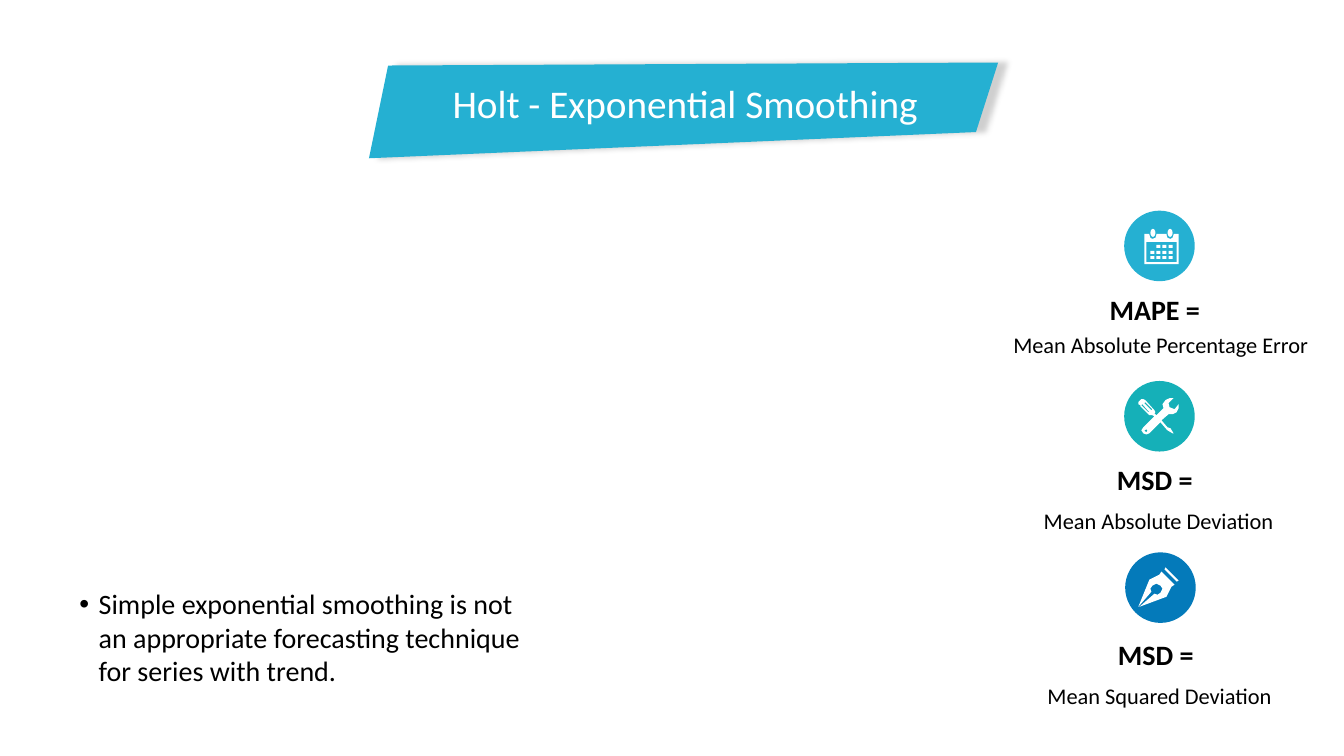
from lxml.etree import SubElement
from pptx import Presentation
from pptx.dml.color import RGBColor
from pptx.enum.shapes import MSO_SHAPE
from pptx.enum.text import MSO_ANCHOR, PP_ALIGN
from pptx.oxml.ns import qn
from pptx.util import Pt

PX = 9144
WHITE, BLACK = "FFFFFF", "000000"
BLUE, TEAL, NAVY = "25B0D2", "15B0B8", "047ABA"

BANNER = [(19, 3), (0, 95), (602, 69), (624, 0)]
FRAME = [(20, 23), (25, 23), (25, 24), (26, 27), (28, 28), (31, 27), (32, 24),
         (32, 23), (42, 23), (42, 24), (43, 27), (46, 28), (48, 27), (49, 24),
         (49, 23), (54, 23), (54, 53), (20, 53)]
PAGE = [(22, 31), (52, 31), (52, 51), (22, 51)]
TOOLS = [(14, 21), (17, 18), (19, 18), (21, 19), (30, 29), (31, 31), (30, 32),
         (32, 34), (39, 27), (38, 23), (41, 19), (45, 17), (49, 17), (44, 22),
         (45, 26), (50, 28), (54, 23), (54, 27), (52, 31), (48, 33), (44, 33),
         (37, 39), (43, 46), (46, 47), (49, 52), (48, 52), (43, 49), (42, 48),
         (36, 41), (25, 52), (22, 53), (19, 52), (17, 49), (19, 46), (30, 35),
         (28, 34), (25, 34), (16, 25), (16, 24), (14, 23)]
BOLT = [(22, 48), (20, 49), (22, 51), (23, 49)]
SLOTS = [[(27, 29), (28, 28), (21, 21), (20, 22)],
         [(24, 31), (25, 31), (18, 23), (17, 24)]]
NIB = [(44, 27), (41, 24), (36, 19), (34, 22), (24, 27), (13, 54), (26, 39),
       (25, 36), (27, 33), (31, 31), (35, 33), (37, 36), (35, 40), (32, 42),
       (29, 41), (14, 54), (41, 44), (46, 34), (49, 32)]
BAR = [(40, 15), (53, 28), (51, 29), (39, 17)]


def tint(hue):
    """Turn a hex string into a colour."""
    return RGBColor.from_string(hue)


def paint(shape, hue):
    """Give a shape a flat fill with no line and no shadow."""
    shape.shadow.inherit = False
    shape.fill.solid()
    shape.fill.fore_color.rgb = tint(hue)
    shape.line.fill.background()
    return shape


def block(slide, kind, x, y, w, h, hue):
    """Add a filled preset shape."""
    return paint(slide.shapes.add_shape(kind, x * PX, y * PX, w * PX, h * PX), hue)


def trace(slide, x, y, hue, *loops):
    """Add a filled outline whose loops are offset from x, y."""
    pen = None
    for loop in loops:
        spots = [(x + dx, y + dy) for dx, dy in loop]
        if pen is None:
            pen = slide.shapes.build_freeform(*spots[0], scale=PX)
        else:
            pen.move_to(*spots[0])
        pen.add_line_segments(spots[1:], close=True)
    return paint(pen.convert_to_shape(), hue)


def write(slide, x, y, w, h, text, size, hue=BLACK, bold=False, wrap=True,
          align=PP_ALIGN.LEFT, inset=True, lead=None, bullet=None):
    """Add a one-paragraph text box."""
    frame = slide.shapes.add_textbox(x * PX, y * PX, w * PX, h * PX).text_frame
    frame.word_wrap = wrap
    frame.vertical_anchor = MSO_ANCHOR.TOP
    if not inset:
        frame.margin_left = frame.margin_right = 0
        frame.margin_top = frame.margin_bottom = 0
    para = frame.paragraphs[0]
    para.alignment = align
    if lead:
        para.line_spacing = lead
    if bullet:
        props = para._p.get_or_add_pPr()
        props.set("marL", str(19 * PX))
        props.set("indent", str(-19 * PX))
        SubElement(props, qn("a:buFont"), typeface="Arial")
        SubElement(props, qn("a:buChar"), char=bullet)
    run = para.add_run()
    run.text = text
    font = run.font
    font.name, font.size, font.bold = "Calibri", Pt(size), bold
    font.color.rgb = tint(hue)


def banner(slide, x, y):
    """Draw the slanted title band with its shadow and title."""
    band = trace(slide, x, y, BLUE, BANNER)
    fx = band._element.spPr.find(qn("a:effectLst"))
    cast = SubElement(fx, qn("a:outerShdw"), blurRad=str(Pt(4)),
                      dist=str(Pt(6)), dir="0", algn="l", rotWithShape="0")
    shade = SubElement(cast, qn("a:srgbClr"), val=BLACK)
    SubElement(shade, qn("a:alpha"), val="19000")
    write(slide, x + 73, y + 12, 487, 57, "Holt - Exponential Smoothing", 28,
          WHITE, wrap=False)


def dates(slide, x, y):
    """Draw the calendar icon."""
    trace(slide, x, y, WHITE, FRAME, PAGE)
    for left in (26, 43):
        block(slide, MSO_SHAPE.OVAL, x + left, y + 18, 5, 8, WHITE)
    for row, top in enumerate((34, 40, 45)):
        for col in range(0 if row else 1, 4):
            block(slide, MSO_SHAPE.RECTANGLE, x + 26 + 6 * col, y + top, 4, 3, WHITE)


def tools(slide, x, y):
    """Draw the crossed tools icon."""
    trace(slide, x, y, WHITE, TOOLS, BOLT, *SLOTS)


def quill(slide, x, y):
    """Draw the pen icon."""
    trace(slide, x, y, WHITE, NIB)
    trace(slide, x, y, WHITE, BAR)


def metric(slide, x, y, hue, icon, drop, head, note, shift=-81, wide=230,
           align=PP_ALIGN.CENTER, lead=1.2):
    """Draw one error measure: disc, icon, short name and full name."""
    block(slide, MSO_SHAPE.FLOWCHART_CONNECTOR, x, y, 70, 70, hue)
    icon(slide, x, y)
    write(slide, x - 40, y + drop, 147, 35, head, 20, bold=True, wrap=False,
          align=PP_ALIGN.CENTER)
    write(slide, x + shift, y + drop + 44, wide, 83, note, 16, align=align,
          inset=False, lead=lead)


def main():
    """Build the slide and save it."""
    deck = Presentation()
    deck.slide_width, deck.slide_height = 1333 * PX, 750 * PX
    slide = deck.slides.add_slide(deck.slide_layouts[6])
    banner(slide, 366, 62)
    metric(slide, 1115, 209, BLUE, dates, 76, "MAPE = ",
           "Mean Absolute Percentage Error", -110, 297, PP_ALIGN.LEFT, None)
    metric(slide, 1115, 378, TEAL, tools, 76, "MSD = ", "Mean Absolute Deviation")
    metric(slide, 1116, 548, NAVY, quill, 79, "MSD = ", "Mean Squared Deviation")
    write(slide, 69, 577, 457, 111, "Simple exponential smoothing is not an "
          "appropriate forecasting technique for series with trend.", 20, bullet="•")
    deck.save("out.pptx")


if __name__ == "__main__":
    main()
